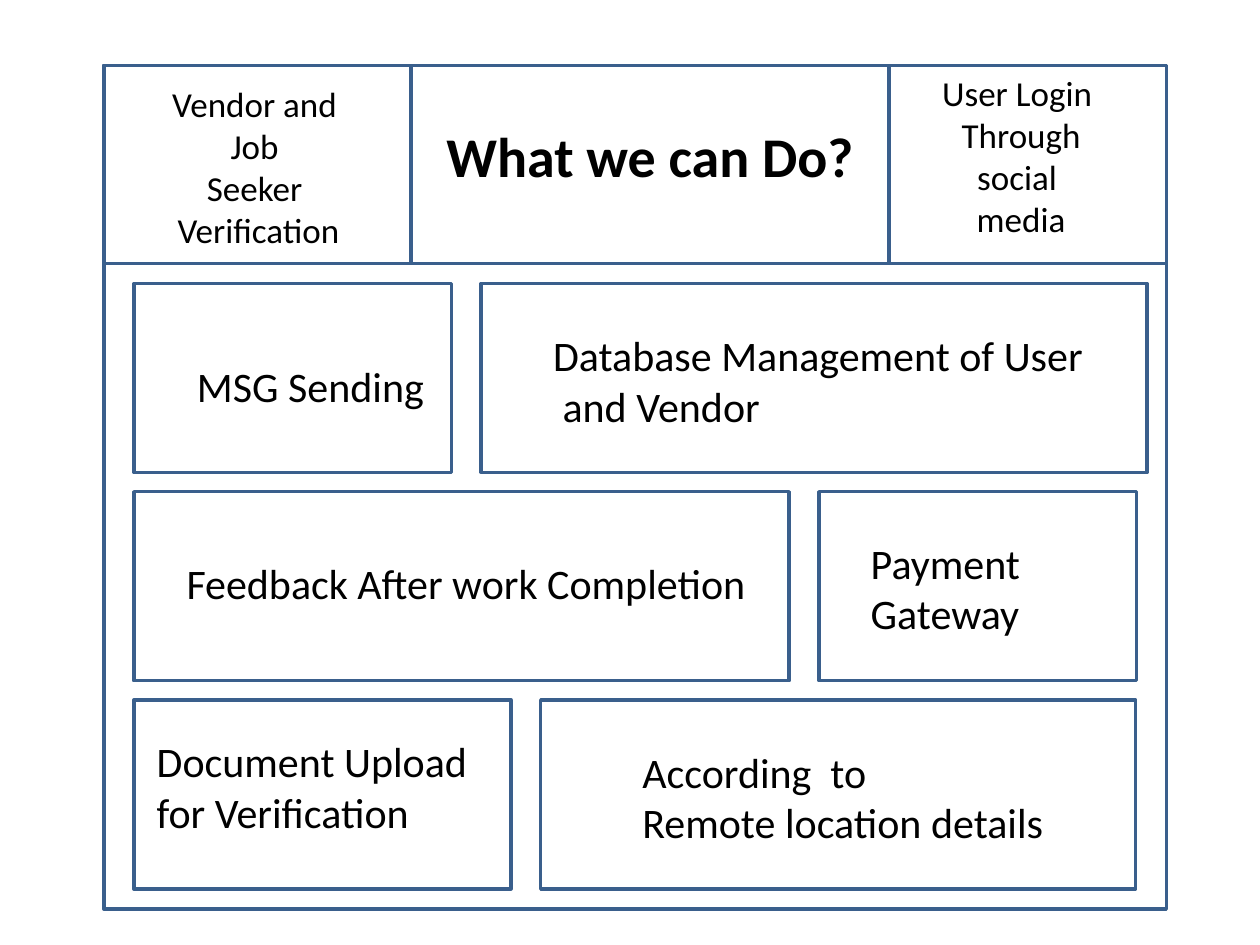
import pptx
import pptx.util
import pptx.dml.color
import pptx.enum.shapes
import pptx.enum.text

Pt = pptx.util.Pt
PP_ALIGN = pptx.enum.text.PP_ALIGN
ANCHOR = pptx.enum.text.MSO_ANCHOR
BLUE, BLACK = "3A5F8C", "000000"


def color(hex_value):
    return pptx.dml.color.RGBColor.from_string(hex_value)


def add_box(s, x, y, w, h):
    sp = s.shapes.add_shape(pptx.enum.shapes.MSO_SHAPE.RECTANGLE,
                            Pt(x), Pt(y), Pt(w), Pt(h))
    sp.shadow.inherit = False
    sp.fill.background()
    sp.line.color.rgb = color(BLUE)
    sp.line.width = Pt(2)


def format_text(sp, lines, size, align, bold=False):
    tf = sp.text_frame
    tf.word_wrap = True
    tf.auto_size = pptx.enum.text.MSO_AUTO_SIZE.NONE
    tf.vertical_anchor = ANCHOR.TOP
    tf.text = "\n".join(lines)
    for p in tf.paragraphs:
        p.alignment = align
        for r in p.runs:
            r.font.name = "Calibri"
            r.font.size = Pt(size)
            r.font.bold = bold
            r.font.color.rgb = color(BLACK)


def add_label(s, x, y, w, h, lines, size, align=PP_ALIGN.LEFT):
    sp = s.shapes.add_textbox(Pt(x), Pt(y), Pt(w), Pt(h))
    format_text(sp, lines, size, align)


def add_header(s, x, y, w, h):
    left_w, right_w = 175.5, 158.5
    right_x = x + w - right_w
    add_box(s, x, y, w, h)
    add_box(s, x, y, left_w, h)
    add_box(s, right_x, y, right_w, h)
    add_label(s, x, y + 6, 172, 104.5,
              ["Vendor and", " Job ", "Seeker", " Verification"], 20, PP_ALIGN.CENTER)
    add_label(s, right_x + 16, y, 119, 104.5,
              ["User Login ", "Through social ", "media"], 20, PP_ALIGN.CENTER)
    title = s.shapes.title
    title.left, title.top = Pt(x + left_w), Pt(y + 28.5)
    title.width, title.height = Pt(w - left_w - right_w), Pt(46)
    format_text(title, ["What we can Do?"], 32, PP_ALIGN.CENTER, True)


def add_feature_row(s, x, y, h, features):
    gap = 17
    for w, dx, dy, label_w, lines in features:
        add_box(s, x, y, w, h)
        add_label(s, x + dx, y + dy, label_w, 7.2 + 29.3 * len(lines), lines, 24)
        x += w + gap


ROWS = [
    [(181.5, 29, 40.5, 150, ["MSG Sending"]),
     (380.5, 34, 23, 324, ["Database Management of User", " and Vendor"])],
    [(374.5, 23, 34, 342, ["Feedback After work Completion"]),
     (181.5, 22.5, 22.5, 136, ["Payment", "Gateway"])],
    [(215.5, 6, 17, 344, ["Document Upload", "for Verification"]),
     (340, 51, 23, 250, ["According  to", "Remote location details"])],
]

prs = pptx.Presentation()
prs.slide_width, prs.slide_height = Pt(720), Pt(540)
s = prs.slides.add_slide(prs.slide_layouts[5])

frame_x, frame_y, frame_w, frame_h = 59.5, 37.5, 607, 482
add_box(s, frame_x, frame_y, frame_w, frame_h)
add_header(s, frame_x, frame_y, frame_w, 113)
for i, features in enumerate(ROWS):
    add_feature_row(s, frame_x + 17, frame_y + 124.5 + 119 * i, 108, features)

prs.save("out.pptx")
